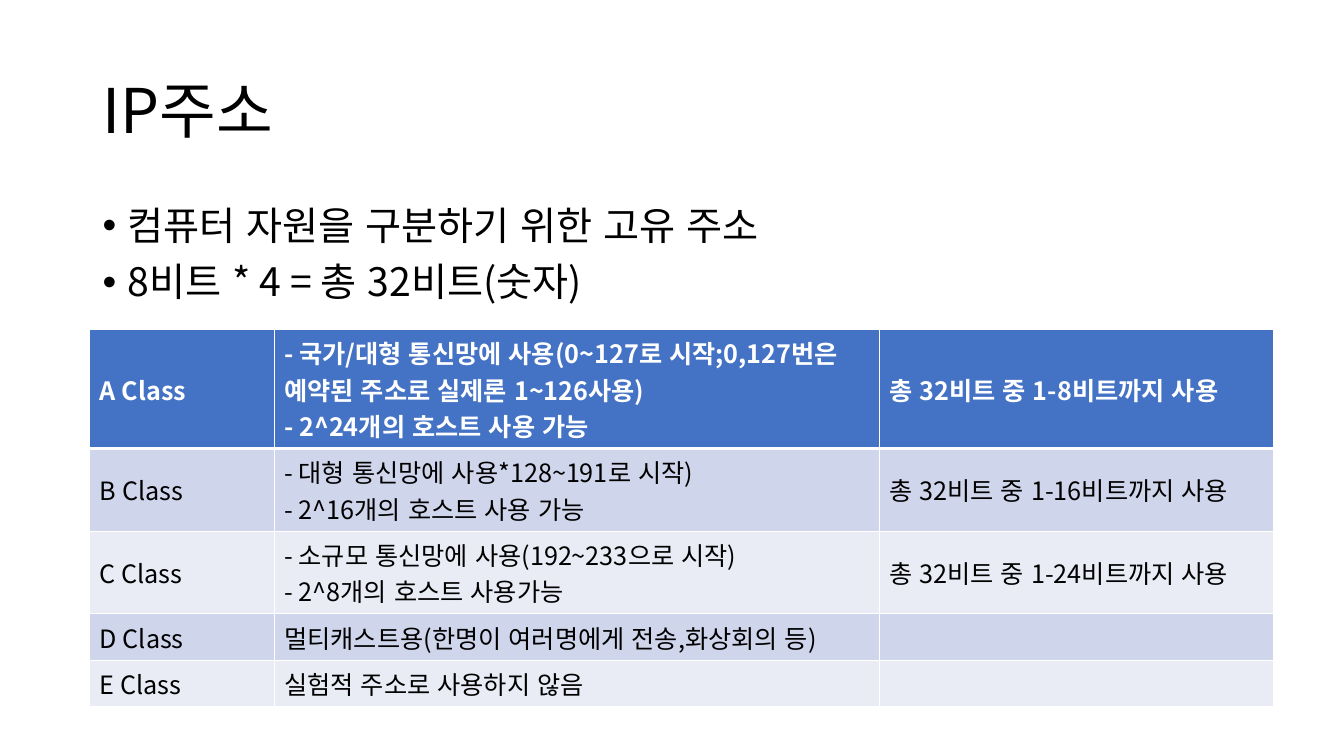
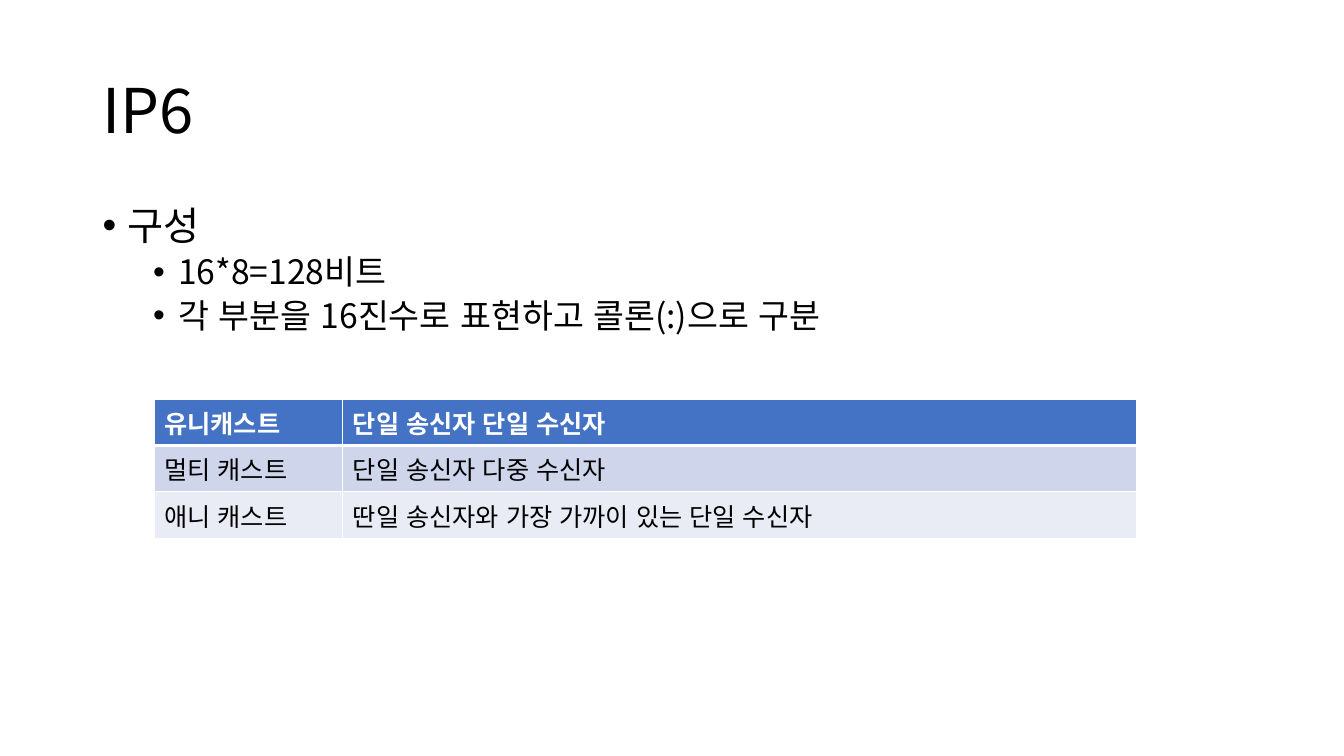
from lxml.etree import SubElement as Sub
from pptx import Presentation
from pptx.dml.color import RGBColor as RGB
from pptx.enum.lang import MSO_LANGUAGE_ID as Lang
from pptx.enum.text import MSO_ANCHOR as Anchor
from pptx.oxml.ns import qn
from pptx.util import Inches, Pt

FONT = "Noto Sans CJK KR"
COLORS = {"head": "4472C4", "odd": "CFD5EA", "even": "E9EBF5",
          "text": "000000", "white": "FFFFFF"}

# Content: points are (level, text)
SLIDES = [
    {"title": "IP주소",
     "points": [(0, "컴퓨터 자원을 구분하기 위한 고유 주소"),
                (0, "8비트 * 4 = 총 32비트(숫자)")],
     "at": (0.89, 3.27), "cols": (1.83, 6, 3.91),
     "heights": (1.18, 0.82, 0.82, 0.46, 0.46),
     "rows": [
         ("A Class",
          "- 국가/대형 통신망에 사용(0~127로 시작;0,127번은 예약된 주소로 실제론 1~126사용)\n"
          "- 2^24개의 호스트 사용 가능",
          "총 32비트 중 1-8비트까지 사용"),
         ("B Class",
          "- 대형 통신망에 사용*128~191로 시작)\n- 2^16개의 호스트 사용 가능",
          "총 32비트 중 1-16비트까지 사용"),
         ("C Class",
          "- 소규모 통신망에 사용(192~233으로 시작)\n- 2^8개의 호스트 사용가능",
          "총 32비트 중 1-24비트까지 사용 "),
         ("D Class", "멀티캐스트용(한명이 여러명에게 전송,화상회의 등)", ""),
         ("E Class", "실험적 주소로 사용하지 않음", "")]},
    {"title": "IP6",
     "points": [(0, "구성"), (1, "16*8=128비트"),
                (1, "각 부분을 16진수로 표현하고 콜론(:)으로 구분")],
     "at": (1.53, 3.96), "cols": (1.87, 7.87),
     "heights": (0.46, 0.46, 0.46),
     "rows": [("유니캐스트", "단일 송신자 단일 수신자"),
              ("멀티 캐스트", "단일 송신자 다중 수신자"),
              ("애니 캐스트", "딴일 송신자와 가장 가까이 있는 단일 수신자")]},
]

# Per level: text size, space before, left indent
LEVELS = [(28, 10, 0.25), (24, 5, 0.75)]


def write(para, text, size, color="text", bold=False):
    para.text = text
    for run in para.runs:
        style = {"name": FONT, "size": Pt(size), "bold": bold,
                 "language_id": Lang.KOREAN}
        for key, value in style.items():
            setattr(run.font, key, value)
        run.font.color.rgb = RGB.from_string(COLORS[color])
        Sub(run.font._element, qn("a:ea"), typeface=FONT)


def add_box(slide, top, height, anchor):
    box = slide.shapes.add_textbox(Inches(0.92), Inches(top),
                                   Inches(11.5), Inches(height))
    frame = box.text_frame
    frame.word_wrap = True
    frame.vertical_anchor = anchor
    return frame


def add_title(slide, text):
    para = add_box(slide, 0.4, 1.45, Anchor.MIDDLE).paragraphs[0]
    para.line_spacing = 0.9
    write(para, text, 44)


def add_points(slide, points):
    frame = add_box(slide, 2, 4.76, Anchor.TOP)
    for i, (level, text) in enumerate(points):
        para = frame.add_paragraph() if i else frame.paragraphs[0]
        size, before, indent = LEVELS[level]
        para.level = level
        para.line_spacing = 0.9
        para.space_before = Pt(before if i else 0)
        props = para._p.get_or_add_pPr()
        props.set("marL", str(Inches(indent)))
        props.set("indent", str(Inches(-0.25)))
        Sub(props, qn("a:buFont"), typeface="Arial")
        Sub(props, qn("a:buChar"), char="•")
        write(para, text, size)


def add_edges(cell, bottom):
    props = cell._tc.get_or_add_tcPr()
    for side, width in zip("LRTB", (1, 1, 1, bottom)):
        line = Sub(props, qn(f"a:ln{side}"), w=str(Pt(width)))
        fill = Sub(line, qn("a:solidFill"))
        Sub(fill, qn("a:srgbClr"), val=COLORS["white"])


def add_grid(slide, at, cols, heights, rows):
    left, top = at
    table = slide.shapes.add_table(
        len(rows), len(cols), Inches(left), Inches(top),
        Inches(sum(cols)), Inches(sum(heights))).table
    for col, width in zip(table.columns, cols):
        col.width = Inches(width)
    for r, (row, height) in enumerate(zip(rows, heights)):
        table.rows[r].height = Inches(height)
        head = r == 0
        tint = "head" if head else "odd" if r % 2 else "even"
        for c, text in enumerate(row):
            cell = table.cell(r, c)
            cell.vertical_anchor = Anchor.MIDDLE
            # Edges come before the fill; the header's lower edge is thick
            add_edges(cell, 3 if head else 1)
            cell.fill.solid()
            cell.fill.fore_color.rgb = RGB.from_string(COLORS[tint])
            write(cell.text_frame.paragraphs[0], text, 18,
                  "white" if head else "text", head)
            if r == 1:
                cell._tc.tcPr.find(qn("a:lnT")).set("w", str(Pt(3)))


def main():
    deck = Presentation()
    deck.slide_width, deck.slide_height = Inches(13.33), Inches(7.5)
    for data in SLIDES:
        slide = deck.slides.add_slide(deck.slide_layouts[6])
        add_title(slide, data["title"])
        add_points(slide, data["points"])
        add_grid(slide, data["at"], data["cols"], data["heights"],
                 data["rows"])
    deck.save("out.pptx")


if __name__ == "__main__":
    main()
